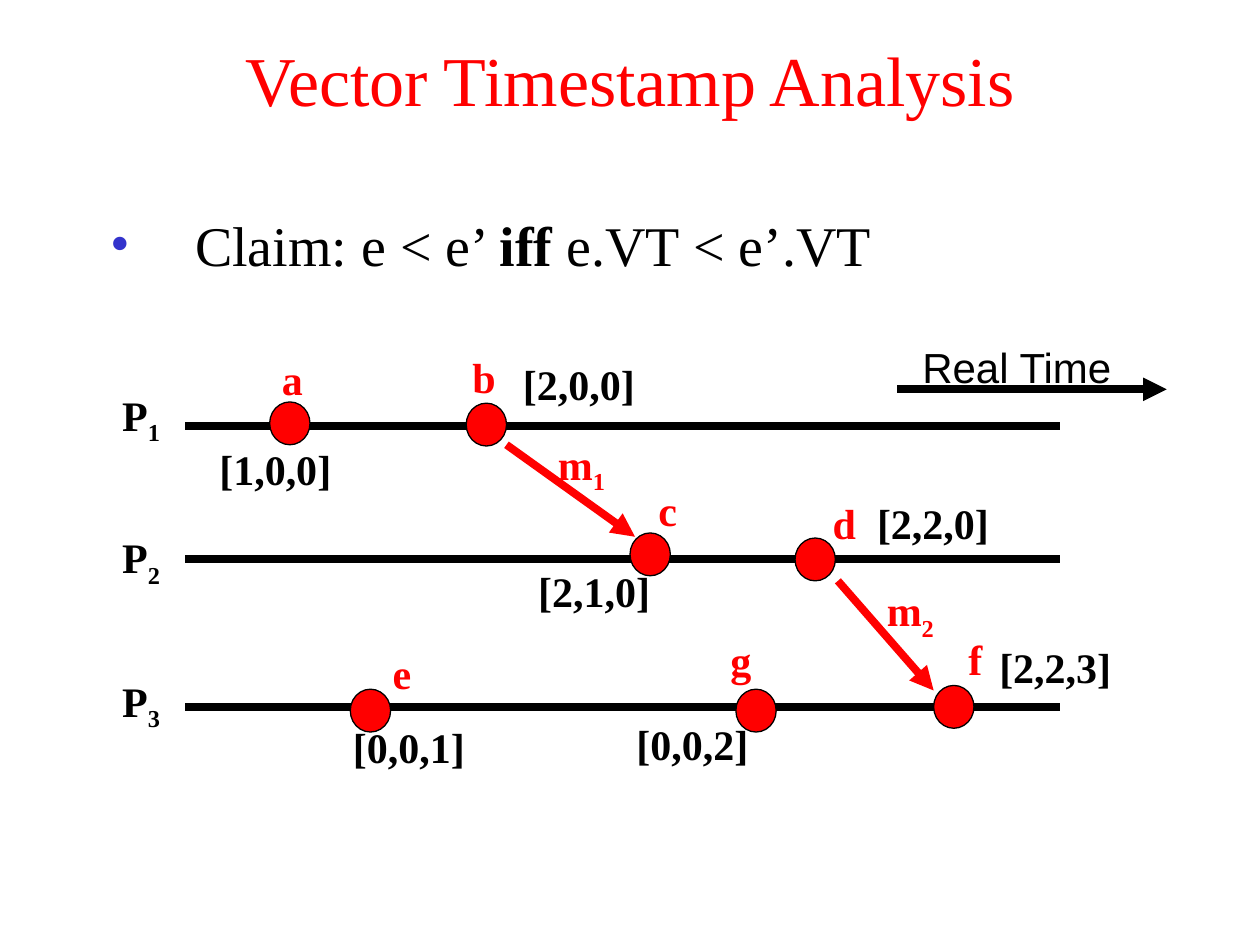
from lxml.etree import SubElement
from pptx import Presentation
from pptx.dml.color import RGBColor
from pptx.enum.shapes import MSO_CONNECTOR as Connector, MSO_SHAPE as Shape
from pptx.enum.text import MSO_ANCHOR as Anchor, MSO_AUTO_SIZE as AutoSize, PP_ALIGN as Align
from pptx.oxml.ns import qn
from pptx.util import Inches, Pt

WIDTH, HEIGHT = Inches(10), Inches(7.5)
COLUMNS, ROWS = 100, 75
SERIF, SANS = "Times New Roman", "Arial"
RED, BLACK, BLUE = "FF0000", "000000", "3333CC"
DOT_WIDTH, DOT_HEIGHT = 3.2, 3.4
NAME_WIDTH, STAMP_WIDTH, LABEL_HEIGHT = 3.8, 10.9, 5
PROCESS_WIDTH, MESSAGE_WIDTH, INDEXED_HEIGHT = 5, 6.1, 5.6

TIMELINES = [("1", 33.8, 30.4), ("2", 44.4, 41.7), ("3", 56.1, 53.1)]
EVENTS = [
    ("a", (21.4, 31.9), (21.3, 27.6), "[1,0,0]", (16.4, 34.7)),
    ("b", (37, 32), (36.5, 27.4), "[2,0,0]", (40.5, 28)),
    ("c", (50, 42.3), (51.1, 38), "[2,1,0]", (41.7, 44.4)),
    ("d", (63.1, 42.7), (65.1, 39), "[2,2,0]", (68.6, 39)),
    ("e", (27.8, 54.7), (30, 50.9), "[0,0,1]", (27, 56.8)),
    ("g", (58.4, 54.7), (56.9, 49.9), "[0,0,2]", (49.5, 56.5)),
    ("f", (74.1, 54.4), (75.5, 49.8), "[2,2,3]", (78.3, 50.4)),
]
MESSAGES = [
    ("1", (40.2, 35.3), (50.4, 42.6), (43.1, 34.3)),
    ("2", (66.5, 46.1), (74.1, 54.8), (69.2, 45.9)),
]


def color(value):
    return RGBColor.from_string(value)


def across(columns):
    return round(WIDTH * columns / COLUMNS)


def down(rows):
    return round(HEIGHT * rows / ROWS)


def add_box(page, left, top, width, height, wrap=False):
    box = page.shapes.add_textbox(across(left), down(top), across(width), down(height))
    frame = box.text_frame
    frame.word_wrap = wrap
    frame.auto_size = AutoSize.NONE if wrap else AutoSize.SHAPE_TO_FIT_TEXT
    return frame


def add_span(para, text, size=24, fill=BLACK, bold=False, font=SERIF):
    span = para.add_run()
    span.text = text
    span.font.name = font
    span.font.size = Pt(size)
    span.font.bold = bold
    span.font.color.rgb = color(fill)
    return span


def add_label(page, text, place, width, fill=BLACK, bold=True, font=SERIF):
    para = add_box(page, *place, width, LABEL_HEIGHT).paragraphs[0]
    para.alignment = Align.CENTER
    add_span(para, text, fill=fill, bold=bold, font=font)


def add_indexed_label(page, text, index, place, width, fill=BLACK):
    para = add_box(page, *place, width, INDEXED_HEIGHT).paragraphs[0]
    para.alignment = Align.CENTER
    add_span(para, text, fill=fill, bold=True)
    subscript = add_span(para, index, fill=fill, bold=True)
    subscript.font._element.set("baseline", "-25000")


def add_line(page, start, end, fill=BLACK, arrow=False):
    line = page.shapes.add_connector(
        Connector.STRAIGHT,
        across(start[0]), down(start[1]), across(end[0]), down(end[1]),
    )
    line.line.color.rgb = color(fill)
    line.line.width = Pt(4.5)
    if arrow:
        SubElement(line.line._get_or_add_ln(), qn("a:tailEnd"), type="triangle")
    SubElement(line._element.spPr, qn("a:effectLst"))


def add_dot(page, left, top):
    dot = page.shapes.add_shape(
        Shape.OVAL, across(left), down(top), across(DOT_WIDTH), down(DOT_HEIGHT)
    )
    dot.shadow.inherit = False
    dot.fill.solid()
    dot.fill.fore_color.rgb = color(RED)
    dot.line.color.rgb = color(BLACK)
    dot.line.width = Pt(0.75)


def add_title(page, text):
    frame = add_box(page, 0, 0, COLUMNS, 12.5, wrap=True)
    frame.vertical_anchor = Anchor.MIDDLE
    para = frame.paragraphs[0]
    para.alignment = Align.CENTER
    add_span(para, text, size=40, fill=RED)


def add_claim(page, spans):
    para = add_box(page, 7.8, 16.2, 85.9, 13, wrap=True).paragraphs[0]
    para.space_before = Pt(8)
    properties = para._p.get_or_add_pPr()
    indent = across(6.7)
    properties.set("marL", str(indent))
    properties.set("indent", str(-indent))
    bullet_color = SubElement(properties, qn("a:buClr"))
    SubElement(bullet_color, qn("a:srgbClr"), val=BLUE)
    SubElement(properties, qn("a:buFont"), typeface=SERIF)
    SubElement(properties, qn("a:buChar"), char="•")
    for text, bold in spans:
        add_span(para, text, size=32, bold=bold)


def main():
    deck = Presentation()
    deck.slide_width, deck.slide_height = WIDTH, HEIGHT
    page = deck.slides.add_slide(deck.slide_layouts[6])

    add_title(page, "Vector Timestamp Analysis")
    add_claim(page, [("Claim: e < e’ ", False), ("iff", True), (" e.VT < e’.VT", False)])

    for index, row, label_row in TIMELINES:
        add_line(page, (14.7, row), (84.1, row))
        add_indexed_label(page, "P", index, (8.7, label_row), PROCESS_WIDTH)

    add_line(page, (71.2, 30.9), (92.6, 30.9), arrow=True)
    add_label(page, "Real Time", (72.1, 26.6), 17.2, bold=False, font=SANS)

    for name, dot_place, name_place, stamp, stamp_place in EVENTS:
        add_dot(page, *dot_place)
        add_label(page, name, name_place, NAME_WIDTH, fill=RED)
        add_label(page, stamp, stamp_place, STAMP_WIDTH)

    for index, start, end, label_place in MESSAGES:
        add_line(page, start, end, fill=RED, arrow=True)
        add_indexed_label(page, "m", index, label_place, MESSAGE_WIDTH, fill=RED)

    deck.save("out.pptx")


if __name__ == "__main__":
    main()
